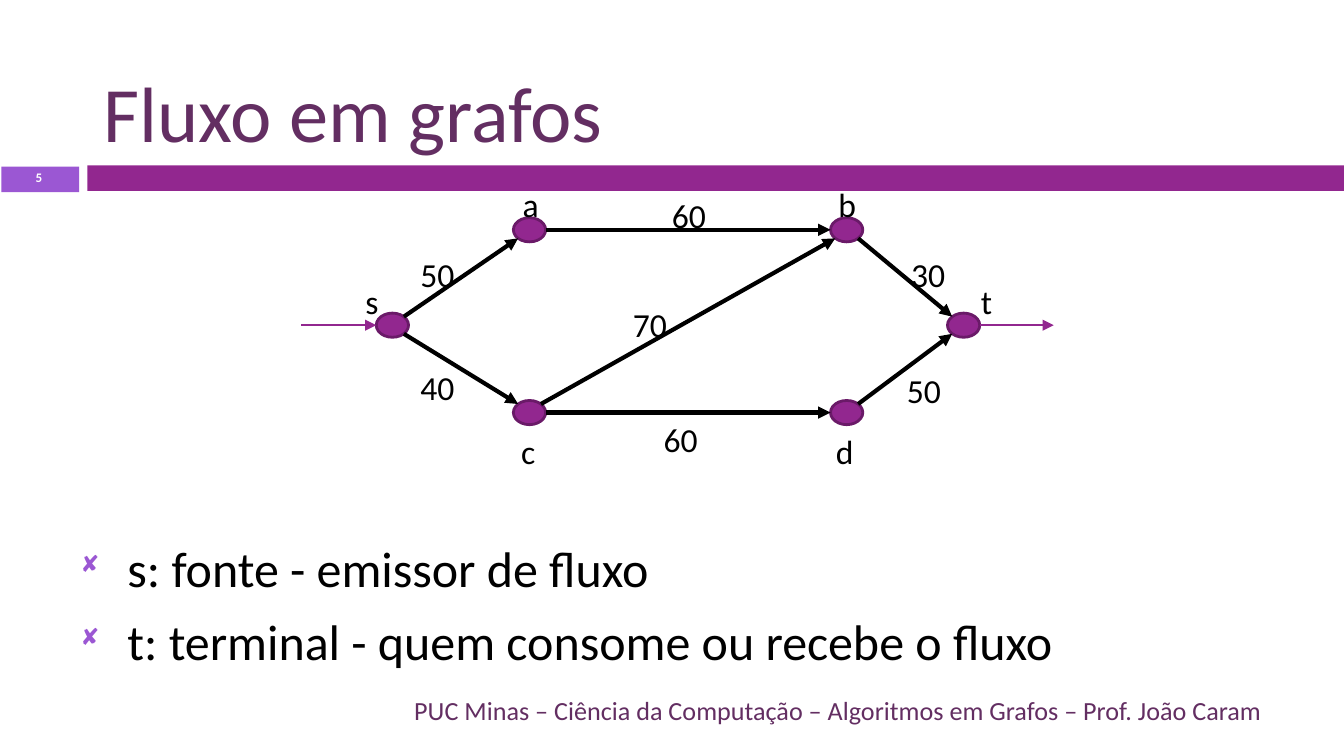
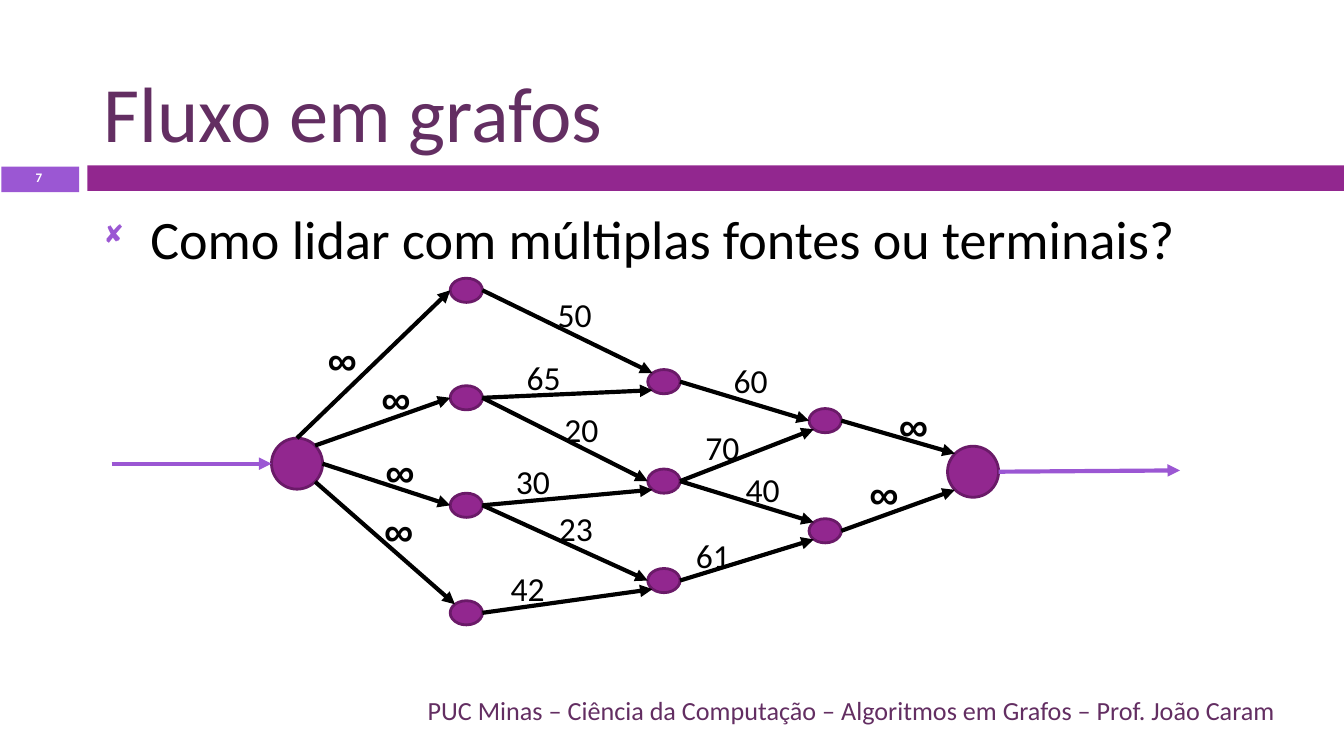
"""Builds two slides on flow in graphs, each with a weighted directed graph."""
from pptx import Presentation
from pptx.dml.color import RGBColor as Color
from pptx.enum.shapes import MSO_CONNECTOR as Connector, MSO_SHAPE as Shape
from pptx.enum.text import MSO_ANCHOR as Anchor, MSO_AUTO_SIZE as AutoSize, PP_ALIGN as Align
from pptx.oxml import parse_xml
from pptx.oxml.ns import nsdecls
from pptx.util import Inches, Pt

COLORS = {"band": "92278F", "accent": "9B57D3", "outline": "6A1A68",
          "title": "632E62", "ink": "000000", "white": "FFFFFF"}
FOOTER = "PUC Minas – Ciência da Computação – Algoritmos em Grafos – Prof. João Caram"
DIAGONAL = 0.71
SITES = {"n": (0, -1), "e": (1, 0), "w": (-1, 0),
         "ne": (DIAGONAL, -DIAGONAL), "nw": (-DIAGONAL, -DIAGONAL),
         "se": (DIAGONAL, DIAGONAL), "sw": (-DIAGONAL, DIAGONAL)}
SMALL, LARGE, POINT = (0.24, 0.18), (0.38, 0.38), (0, 0)

simple_graph = {
    "nodes": {"s": (2.92, 2.42, SMALL), "a": (3.94, 1.71, SMALL), "b": (6.3, 1.71, SMALL),
              "c": (3.94, 3.07, SMALL), "d": (6.3, 3.07, SMALL), "t": (7.17, 2.42, SMALL),
              "in": (2.24, 2.42, POINT), "out": (7.84, 2.42, POINT)},
    "edges": ["s ne a sw", "a e b w", "b se t nw", "c ne b sw", "s se c nw", "c e d w",
              "d ne t sw"],
    "flow": ["in e s w", "t e out w"], "flow_color": "band", "flow_width": 0.79,
    "weights": [("50", 3.03, 1.84), ("60", 4.9, 1.4), ("70", 4.61, 2.21), ("40", 3.03, 2.68),
                ("60", 4.84, 3.07), ("50", 6.65, 2.7), ("30", 6.68, 1.84)],
    "names": [("s", 2.62, 2.04, 0.32), ("t", 7.2, 2.04, 0.29), ("a", 3.79, 1.32, 0.34),
              ("b", 6.14, 1.32, 0.35), ("c", 3.78, 3.16, 0.32), ("d", 6.12, 3.16, 0.35)],
    "infinities": [],
}
joined_graph = {
    "nodes": {"source": (2.21, 3.45, LARGE), "sink": (7.24, 3.51, LARGE),
              "in": (0.83, 3.45, POINT), "out": (8.78, 3.5, POINT),
              **{f"first{row}": (3.47, 2.16 + 0.8 * row, SMALL) for row in range(4)},
              **{f"second{row}": (4.94, 2.84 + 0.74 * row, SMALL) for row in range(3)},
              **{f"third{row}": (6.14, 3.13 + 0.82 * row, SMALL) for row in range(2)}},
    "edges": ["source n first0 w", "source ne first1 w", "source e first2 w",
              "source se first3 nw", "first0 e second0 nw", "first1 e second1 w",
              "first2 e second2 w", "first1 e second0 sw", "first2 e second1 sw",
              "first3 e second2 sw", "second0 e third0 w", "second1 e third0 sw",
              "second1 e third1 nw", "second2 e third1 sw", "third0 e sink nw",
              "third1 e sink sw"],
    "flow": ["in e source w", "sink e out w"], "flow_color": "accent", "flow_width": 2.25,
    "weights": [("50", 4.05, 2.14), ("65", 3.82, 2.61), ("20", 4.1, 2.99), ("30", 3.74, 3.38),
                ("23", 4.06, 3.73), ("42", 3.7, 4.18), ("61", 5.08, 3.93), ("40", 5.45, 3.44),
                ("70", 5.15, 3.13), ("60", 5.36, 2.63)],
    "names": [],
    "infinities": [("∞", 2.34, 2.44), ("∞", 2.74, 2.73), ("∞", 2.77, 3.27),
                   ("∞", 2.76, 3.71), ("∞", 6.59, 2.93), ("∞", 6.37, 3.44)],
}
slides = [
    {"number": "5", "body": (0.5, 3.95, 9, 1.07), "size": 26.8, "footer_width": 8.82,
     "text": "s: fonte - emissor de fluxo\nt: terminal - quem consome ou recebe o fluxo",
     "graph": simple_graph},
    {"number": "7", "body": (0.67, 1.48, 8.92, 3.55), "size": 29, "footer_width": 8.92,
     "text": "Como lidar com múltiplas fontes ou terminais?", "graph": joined_graph},
]


def write(page, text, place, size, color="ink", font="Calibri", bold=False, align=Align.LEFT,
          anchor=Anchor.TOP, spacing=None, bullets=False, wrap=True):
    """Add a text box with one paragraph per line of text."""
    frame = page.shapes.add_textbox(*map(Inches, place)).text_frame
    frame.word_wrap = wrap
    frame.auto_size = AutoSize.NONE if wrap else AutoSize.SHAPE_TO_FIT_TEXT
    frame.vertical_anchor = anchor
    for index, line in enumerate(text.split("\n")):
        para = frame.add_paragraph() if index else frame.paragraphs[0]
        para.alignment = align
        if spacing:
            para.line_spacing = spacing
        if index:
            para.space_before = Pt(7)
        if bullets:
            properties = para._p.get_or_add_pPr()
            properties.set("marL", str(Inches(0.35)))
            properties.set("indent", str(-Inches(0.35)))
            for markup in (f'<a:buClr {nsdecls("a")}><a:srgbClr val="{COLORS["accent"]}"/></a:buClr>',
                           f'<a:buSzPct {nsdecls("a")} val="60000"/>',
                           f'<a:buFont {nsdecls("a")} typeface="Wingdings" charset="2"/>',
                           f'<a:buChar {nsdecls("a")} char="◻"/>'):
                properties.append(parse_xml(markup))
        span = para.add_run()
        span.text = line
        span.font.size = Pt(size)
        span.font.name = font
        span.font.bold = bold
        span.font.color.rgb = Color.from_string(COLORS[color])


def draw(page, kind, place, fill, outline=None):
    """Add a filled preset shape, outlined if a colour is named."""
    shape = page.shapes.add_shape(kind, *map(Inches, place))
    shape.shadow.inherit = False
    shape.fill.solid()
    shape.fill.fore_color.rgb = Color.from_string(COLORS[fill])
    if outline:
        shape.line.color.rgb = Color.from_string(COLORS[outline])
        shape.line.width = Pt(1.5)
    else:
        shape.line.fill.background()


deck = Presentation()
deck.slide_width = Inches(10)
deck.slide_height = Inches(10 * 9 / 16)

for slide in slides:
    page = deck.slides.add_slide(deck.slide_layouts[6])
    draw(page, Shape.RECTANGLE, (0.01, 1.24, 0.58, 0.19), "accent")
    draw(page, Shape.RECTANGLE, (0.65, 1.23, 9.35, 0.19), "band")
    write(page, "Fluxo em grafos", (0.67, 0.13, 8.92, 1.1), 42, "title", anchor=Anchor.BOTTOM)
    write(page, slide["text"], slide["body"], slide["size"], bullets=True)
    write(page, FOOTER, (0.67, 5.13, slide["footer_width"], 0.3), 14, "title",
          align=Align.RIGHT, anchor=Anchor.MIDDLE)
    write(page, slide["number"], (0, 1.23, 0.58, 0.2), 7, "white", bold=True,
          align=Align.CENTER, anchor=Anchor.MIDDLE, spacing=0.7)

    graph = slide["graph"]
    for x, y, (width, height) in graph["nodes"].values():
        if width:
            draw(page, Shape.OVAL, (x - width / 2, y - height / 2, width, height),
                 "band", "outline")

    arrows = [(edge, "ink", 2.25) for edge in graph["edges"]]
    arrows += [(edge, graph["flow_color"], graph["flow_width"]) for edge in graph["flow"]]
    for edge, color, weight in arrows:
        tail, tail_site, head, head_site = edge.split()
        ends = []
        for node, site in ((tail, tail_site), (head, head_site)):
            x, y, (width, height) = graph["nodes"][node]
            across, down = SITES[site]
            ends += [Inches(x + across * width / 2), Inches(y + down * height / 2)]
        arrow = page.shapes.add_connector(Connector.STRAIGHT, *ends)
        arrow.line.color.rgb = Color.from_string(COLORS[color])
        arrow.line.width = Pt(weight)
        arrow.line._get_or_add_ln().append(
            parse_xml(f'<a:tailEnd {nsdecls("a")} type="triangle"/>'))
        arrow._element.spPr.append(parse_xml(f'<a:effectLst {nsdecls("a")}/>'))

    for text, left, top in graph["weights"]:
        write(page, text, (left, top, 0.48, 0.4), 18, wrap=False)
    for text, left, top, width in graph["names"]:
        write(page, text, (left, top, width, 0.4), 18, wrap=False)
    for text, left, top in graph["infinities"]:
        write(page, text, (left, top, 0.43, 0.47), 22, font="Arial", bold=True, wrap=False)

deck.save("out.pptx")
